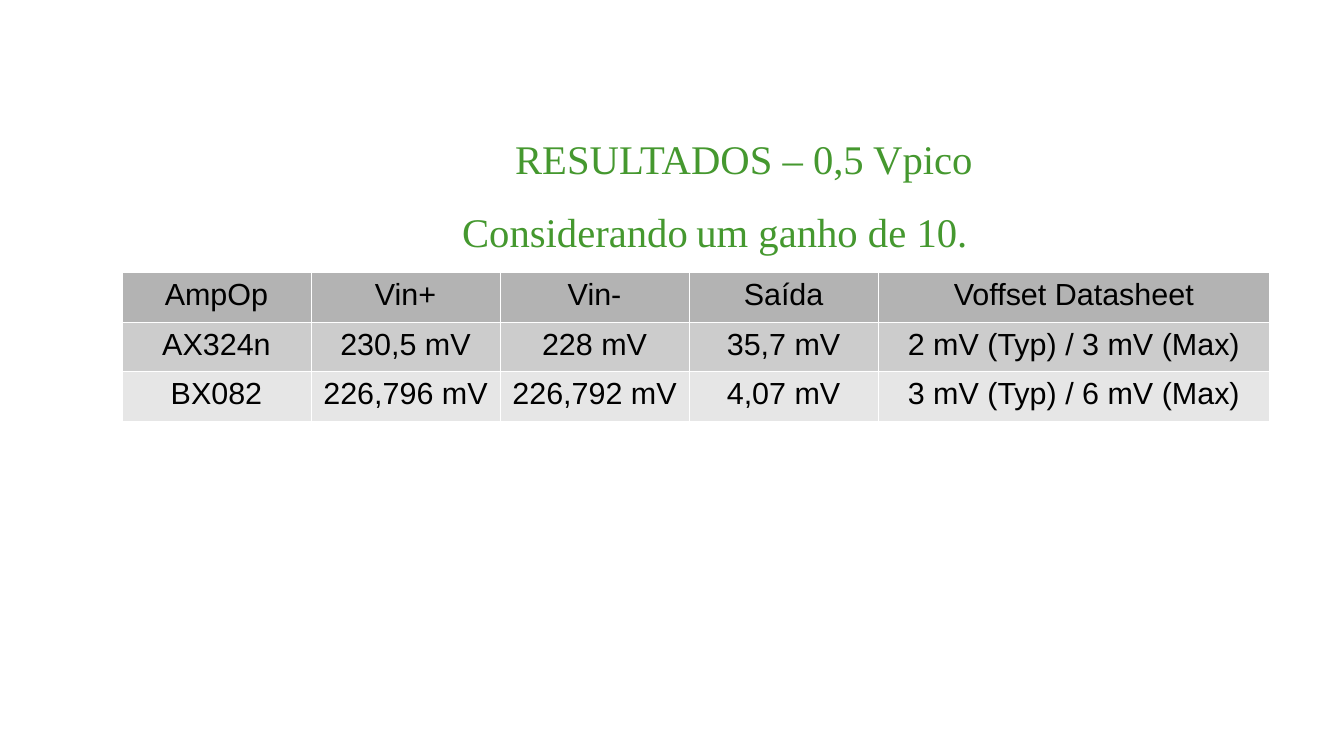
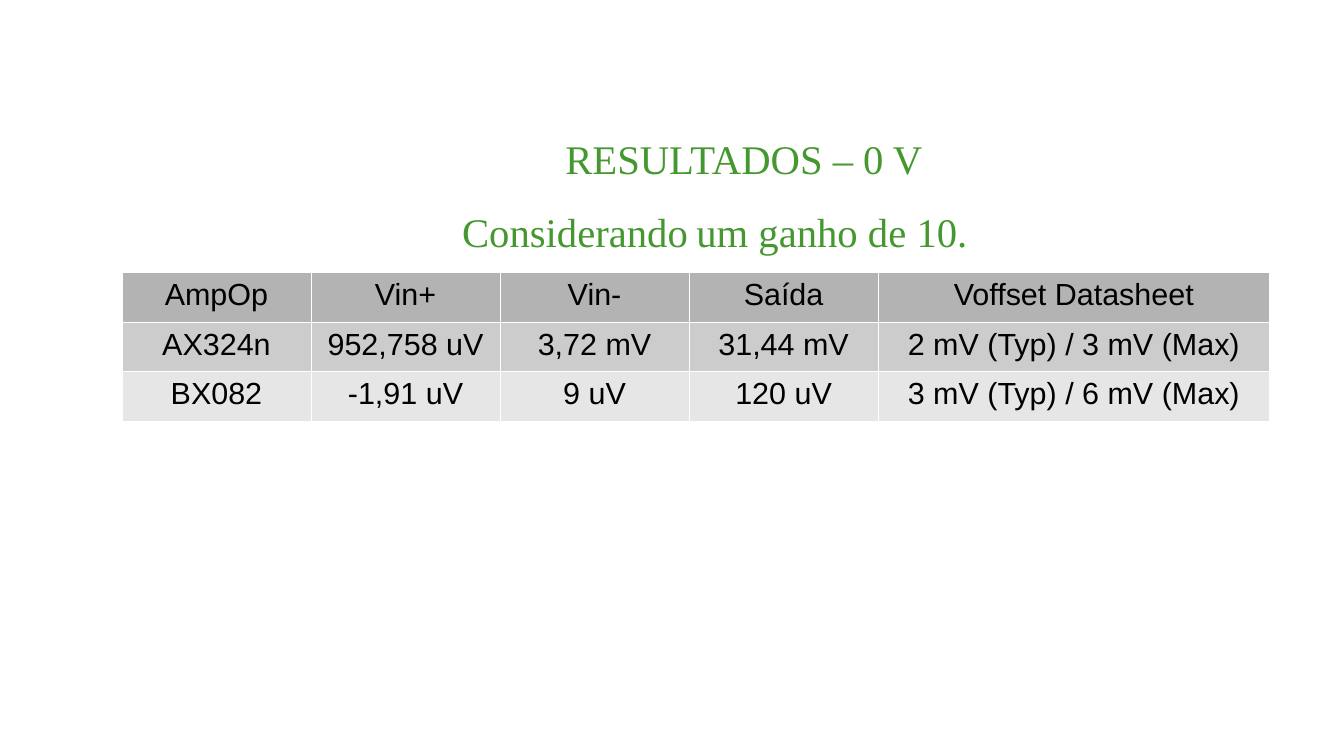
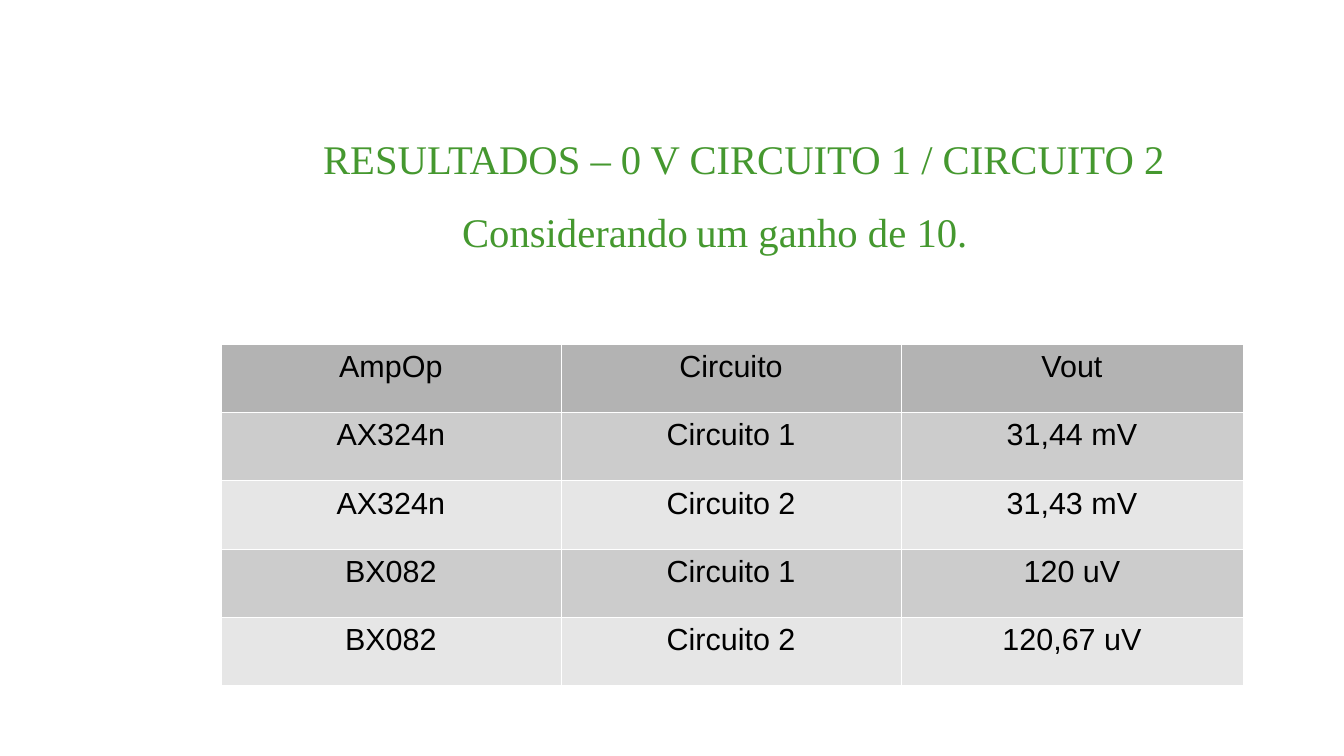
"""Build three slides comparing op-amp offset results."""
from lxml.etree import SubElement
from pptx import Presentation
from pptx.dml.color import RGBColor
from pptx.enum.text import MSO_ANCHOR, PP_ALIGN
from pptx.oxml.ns import qn
from pptx.util import Inches, Pt

GREEN = RGBColor(0x45, 0x98, 0x2F)
BLACK = RGBColor(0x00, 0x00, 0x00)
WHITE = RGBColor(0xFF, 0xFF, 0xFF)
HEADER_GRAY = RGBColor(0xB3, 0xB3, 0xB3)
BAND_GRAYS = [RGBColor(0xCC, 0xCC, 0xCC), RGBColor(0xE6, 0xE6, 0xE6)]
BORDER_WIDTH = Pt(0.06)

HEADING = {"name": "Times New Roman", "size": Pt(24)}
BODY = {"name": "Arial", "size": Pt(18)}
TITLE_FRAME = {"word_wrap": True, "vertical_anchor": MSO_ANCHOR.MIDDLE,
               "margin_left": 0, "margin_right": 0, "margin_top": 0, "margin_bottom": 0}
SUBTITLE_FRAME = {"word_wrap": True}
SUBTITLE_RUNS = [("Considerando", HEADING), (" ", BODY), ("um ganho de 10.", HEADING)]

OFFSET_LAYOUT = {"left": 1, "top": 2.23, "columns": [1.55] * 4 + [3.21], "rows": [0.41, 0.38, 0.41]}
CIRCUIT_LAYOUT = {"left": 1.81, "top": 2.82, "columns": [2.79, 2.79, 2.8], "rows": [0.56] * 5}
OFFSET_HEADER = ["AmpOp", "Vin+", "Vin-", "Saída", "Voffset Datasheet"]
QUAD_OFFSET = "2 mV (Typ) / 3 mV (Max)"
DUAL_OFFSET = "3 mV (Typ) / 6 mV (Max)"
QUAD_AMP = "AX324n"
DUAL_AMP = "BX082"

SLIDES = [
    ("RESULTADOS – 0,5 Vpico", OFFSET_LAYOUT, [
        OFFSET_HEADER,
        [QUAD_AMP, "230,5 mV", "228 mV", "35,7 mV", QUAD_OFFSET],
        [DUAL_AMP, "226,796 mV", "226,792 mV", "4,07 mV", DUAL_OFFSET],
    ]),
    ("RESULTADOS – 0 V", OFFSET_LAYOUT, [
        OFFSET_HEADER,
        [QUAD_AMP, "952,758 uV", "3,72 mV", "31,44 mV", QUAD_OFFSET],
        [DUAL_AMP, "-1,91 uV", "9 uV", "120 uV", DUAL_OFFSET],
    ]),
    ("RESULTADOS – 0 V CIRCUITO 1 / CIRCUITO 2", CIRCUIT_LAYOUT, [
        ["AmpOp", "Circuito", "Vout"],
        [QUAD_AMP, "Circuito 1", "31,44 mV"],
        [QUAD_AMP, "Circuito 2", "31,43 mV"],
        [DUAL_AMP, "Circuito 1", "120 uV"],
        [DUAL_AMP, "Circuito 2", "120,67 uV"],
    ]),
]


def write_centered(text_frame, runs, color):
    paragraph = text_frame.paragraphs[0]
    paragraph.alignment = PP_ALIGN.CENTER
    for text, style in runs:
        run = paragraph.add_run()
        run.text = text
        run.font.color.rgb = color
        for attribute, value in style.items():
            setattr(run.font, attribute, value)


def add_borders(cell):
    properties = cell._tc.get_or_add_tcPr()
    for side in ("a:lnL", "a:lnR", "a:lnT", "a:lnB"):
        line = SubElement(properties, qn(side), w=str(int(BORDER_WIDTH)))
        fill = SubElement(line, qn("a:solidFill"))
        SubElement(fill, qn("a:srgbClr"), val=str(WHITE))


presentation = Presentation()
presentation.slide_width = Inches(11.02)
presentation.slide_height = Inches(6.2)

for title, layout, records in SLIDES:
    slide = presentation.slides.add_slide(presentation.slide_layouts[6])
    slide.background.fill.solid()
    slide.background.fill.fore_color.rgb = WHITE

    headings = [
        ((1.73, 0.78, 8.74, 1.03), TITLE_FRAME, [(title, HEADING)]),
        ((1.57, 1.65, 8.58, 0.47), SUBTITLE_FRAME, SUBTITLE_RUNS),
    ]
    for position, frame_format, runs in headings:
        text_frame = slide.shapes.add_textbox(*map(Inches, position)).text_frame
        for attribute, value in frame_format.items():
            setattr(text_frame, attribute, value)
        write_centered(text_frame, runs, GREEN)

    widths, heights = layout["columns"], layout["rows"]
    table = slide.shapes.add_table(
        len(heights), len(widths), Inches(layout["left"]), Inches(layout["top"]),
        Inches(sum(widths)), Inches(sum(heights))).table
    table.first_row = False
    table.horz_banding = False
    for column, width in zip(table.columns, widths):
        column.width = Inches(width)
    for row_index, (row, height, record) in enumerate(zip(table.rows, heights, records)):
        row.height = Inches(height)
        for cell, text in zip(row.cells, record):
            add_borders(cell)
            cell.fill.solid()
            cell.fill.fore_color.rgb = BAND_GRAYS[(row_index - 1) % 2] if row_index else HEADER_GRAY
            write_centered(cell.text_frame, [(text, BODY)], BLACK)

presentation.save("out.pptx")
